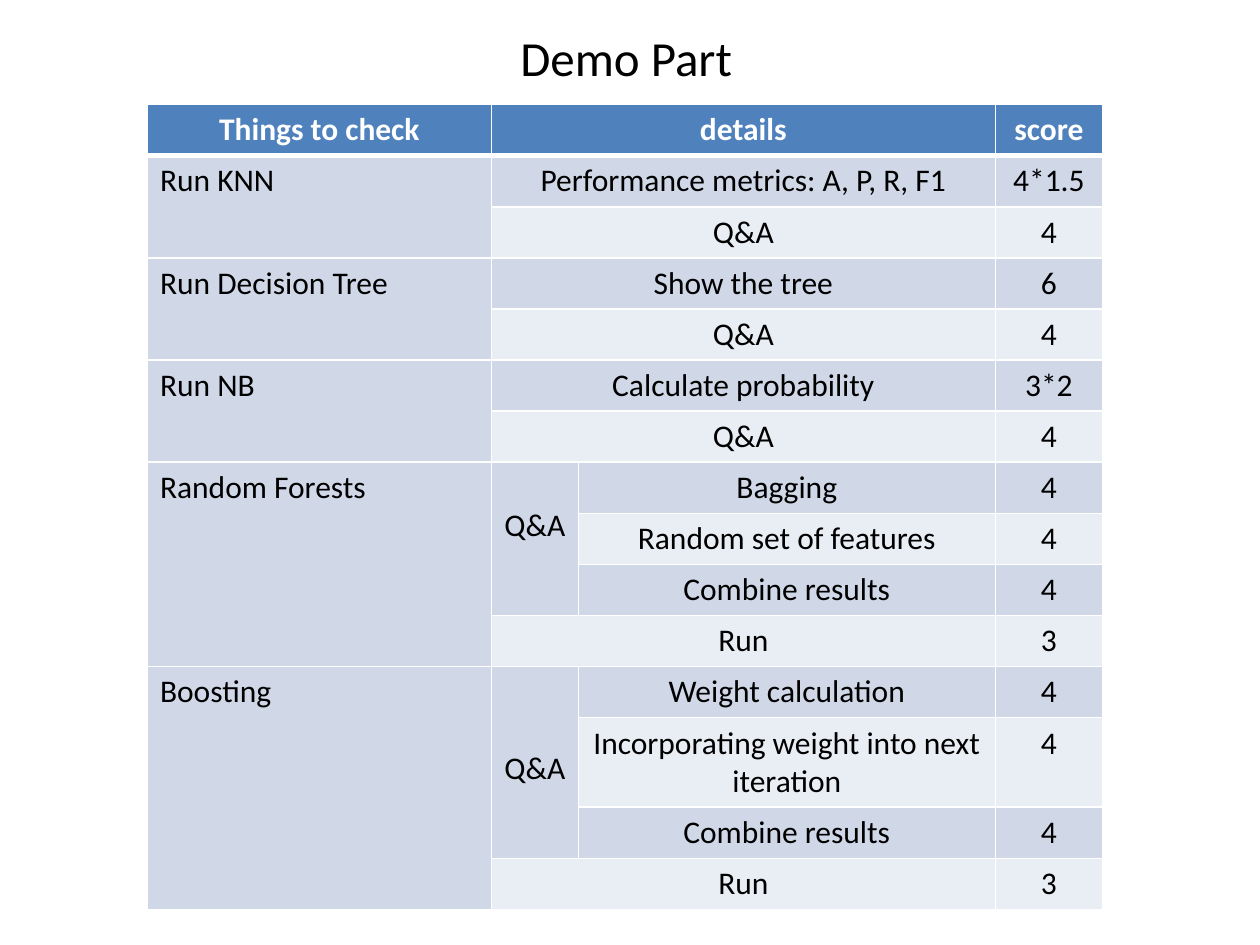
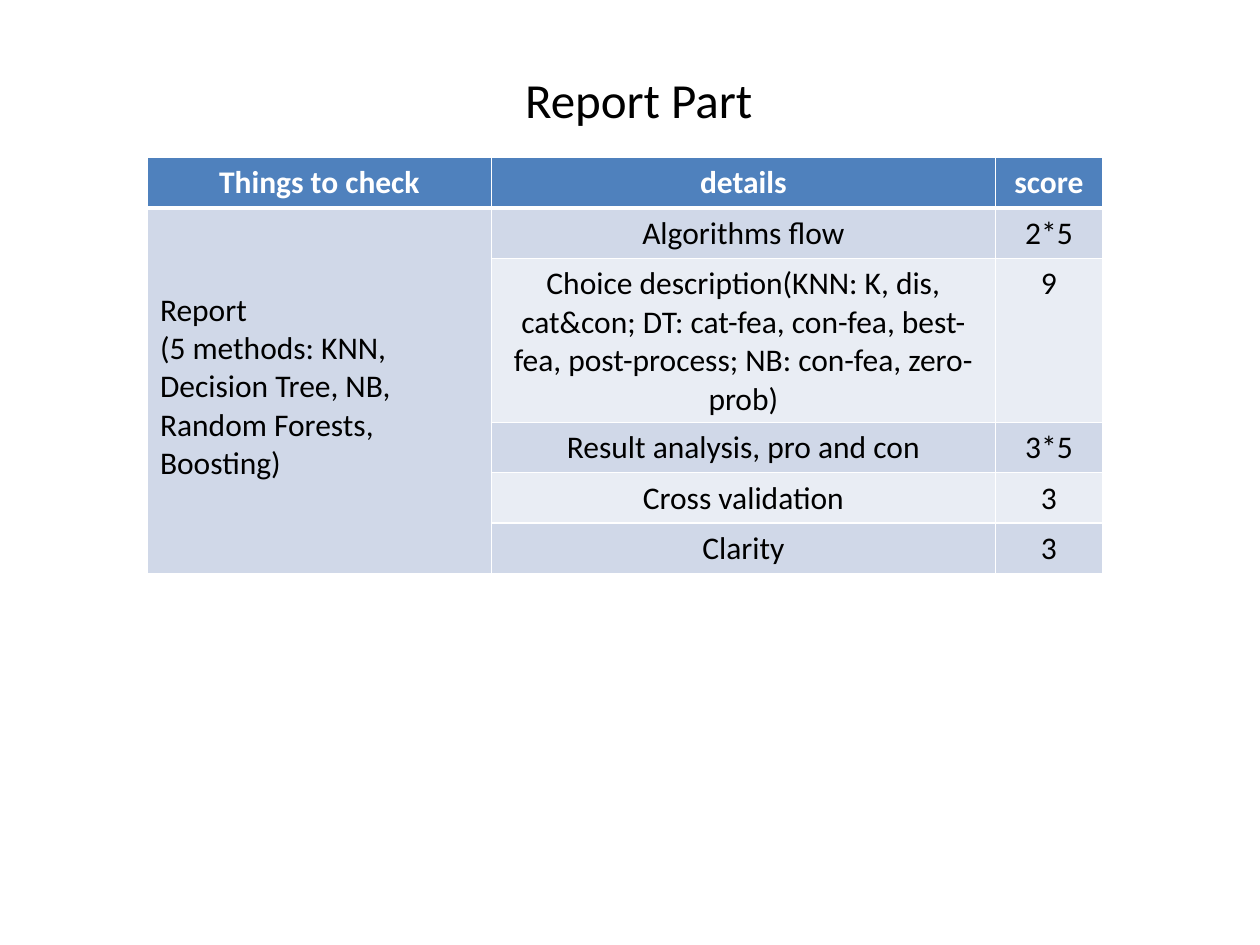
from dataclasses import dataclass
from typing import Optional, Union

from lxml.etree import SubElement
from pptx import Presentation
from pptx.dml.color import RGBColor
from pptx.enum.text import MSO_AUTO_SIZE as AutoSize, PP_ALIGN as Align
from pptx.oxml.ns import qn
from pptx.util import Inches, Pt

FONT = "Calibri"
WHITE, BLACK = "FFFFFF", "000000"
HEADER_FILL = "4F81BD"
BAND_FILLS = ("E9EDF4", "D0D8E8")
TABLE_LEFT, TABLE_WIDTH = 1.17, 7.58
ROW_HEIGHT = 0.38
LINE_HEIGHT = 0.305
CELL_MARGIN = 0.05


@dataclass(frozen=True)
class Span:
    text: str
    rows: int = 1
    columns: int = 1
    lines_above: int = 0


Entry = Optional[Union[str, Span]]


@dataclass(frozen=True)
class ScoreSheet:
    title: str
    title_left: float
    title_top: float
    title_width: float
    title_align: Align
    table_top: float
    column_widths: list[float]
    entries: list[list[Entry]]
    tall_rows: dict[int, float]


def color(value: str) -> RGBColor:
    return RGBColor.from_string(value)


def add_span(para, text: str, size: float, ink: str, bold: bool = False) -> None:
    span = para.add_run()
    span.text = text
    span.font.name = FONT
    span.font.size = Pt(size)
    span.font.bold = bold
    span.font.color.rgb = color(ink)


def add_borders(cell, bottom: float) -> None:
    properties = cell._tc.get_or_add_tcPr()
    for side, width in (("L", 1), ("R", 1), ("T", 1), ("B", bottom)):
        line = SubElement(properties, qn(f"a:ln{side}"), w=str(Pt(width)))
        fill = SubElement(line, qn("a:solidFill"))
        SubElement(fill, qn("a:srgbClr"), val=WHITE)


def paint_cell(cell, row: int) -> None:
    add_borders(cell, 3 if row == 0 else 1)
    cell.fill.solid()
    cell.fill.fore_color.rgb = color(BAND_FILLS[row % 2] if row else HEADER_FILL)


def write_cell(cell, entry: Span, row: int, column: int) -> None:
    cell.margin_top = Inches(CELL_MARGIN + entry.lines_above * LINE_HEIGHT)
    frame = cell.text_frame
    for index, text in enumerate(entry.text.split("\n")):
        para = frame.add_paragraph() if index else frame.paragraphs[0]
        para.alignment = Align.LEFT if row and column == 0 else Align.CENTER
        add_span(para, text, 18, BLACK if row else WHITE, row == 0)


def add_title(page, sheet: ScoreSheet) -> None:
    box = page.shapes.add_textbox(
        Inches(sheet.title_left), Inches(sheet.title_top),
        Inches(sheet.title_width), Inches(0.57),
    )
    frame = box.text_frame
    frame.word_wrap = False
    frame.auto_size = AutoSize.SHAPE_TO_FIT_TEXT
    para = frame.paragraphs[0]
    para.alignment = sheet.title_align
    add_span(para, sheet.title, 28, BLACK)


def add_score_table(page, sheet: ScoreSheet) -> None:
    heights = [sheet.tall_rows.get(row, ROW_HEIGHT) for row in range(len(sheet.entries))]
    table = page.shapes.add_table(
        len(heights), len(sheet.column_widths),
        Inches(TABLE_LEFT), Inches(sheet.table_top),
        Inches(TABLE_WIDTH), Inches(sum(heights)),
    ).table
    for column, width in enumerate(sheet.column_widths):
        table.columns[column].width = Inches(width)
    for row, (height, entries) in enumerate(zip(heights, sheet.entries)):
        table.rows[row].height = Inches(height)
        for column, entry in enumerate(entries):
            cell = table.cell(row, column)
            paint_cell(cell, row)
            if entry is None:
                continue
            content = Span(entry) if isinstance(entry, str) else entry
            write_cell(cell, content, row, column)
            if content.rows * content.columns > 1:
                cell.merge(table.cell(row + content.rows - 1, column + content.columns - 1))


def wide(text: str) -> Span:
    return Span(text, columns=2)


def simple_method(name: str, detail: str, score: str) -> list[list[Entry]]:
    return [
        [Span(name, rows=2), wide(detail), None, score],
        [None, wide("Q&A"), None, "4"],
    ]


def ensemble_method(name: str, topics: list[str], lines_above: int) -> list[list[Entry]]:
    first, *others = topics
    return [
        [Span(name, rows=4), Span("Q&A", rows=3, lines_above=lines_above), first, "4"],
        *[[None, None, topic, "4"] for topic in others],
        [None, wide("Run"), None, "3"],
    ]


SHEETS = [
    ScoreSheet(
        "Demo Part", 4.02, 0.17, 1.9, Align.CENTER, 0.83, [2.73, 0.69, 3.31, 0.85],
        [
            ["Things to check", wide("details"), None, "score"],
            *simple_method("Run KNN", "Performance metrics: A, P, R, F1", "4*1.5"),
            *simple_method("Run Decision Tree", "Show the tree", "6"),
            *simple_method("Run NB", "Calculate probability", "3*2"),
            *ensemble_method(
                "Random Forests", ["Bagging", "Random set of features", "Combine results"], 1
            ),
            *ensemble_method(
                "Boosting",
                ["Weight calculation", "Incorporating weight into next iteration",
                 "Combine results"],
                2,
            ),
        ],
        {},
    ),
    ScoreSheet(
        "Report Part", 4.07, 0.5, 2.03, Align.LEFT, 1.25, [2.73, 4, 0.85],
        [
            ["Things to check", "details", "score"],
            [
                Span(
                    "Report\n(5 methods: KNN, Decision Tree, NB, Random Forests, Boosting)",
                    rows=5, lines_above=2,
                ),
                "Algorithms flow", "2*5",
            ],
            [
                None,
                "Choice description(KNN: K, dis, cat&con; DT: cat-fea, con-fea, best-fea, "
                "post-process; NB: con-fea, zero-prob)",
                "9",
            ],
            [None, "Result analysis, pro and con", "3*5"],
            [None, "Cross validation", "3"],
            [None, "Clarity", "3"],
        ],
        {2: 0.96},
    ),
]


def build() -> None:
    deck = Presentation()
    deck.slide_width, deck.slide_height = Inches(10), Inches(7.5)
    for sheet in SHEETS:
        page = deck.slides.add_slide(deck.slide_layouts[6])
        add_score_table(page, sheet)
        add_title(page, sheet)
    deck.save("out.pptx")


build()
